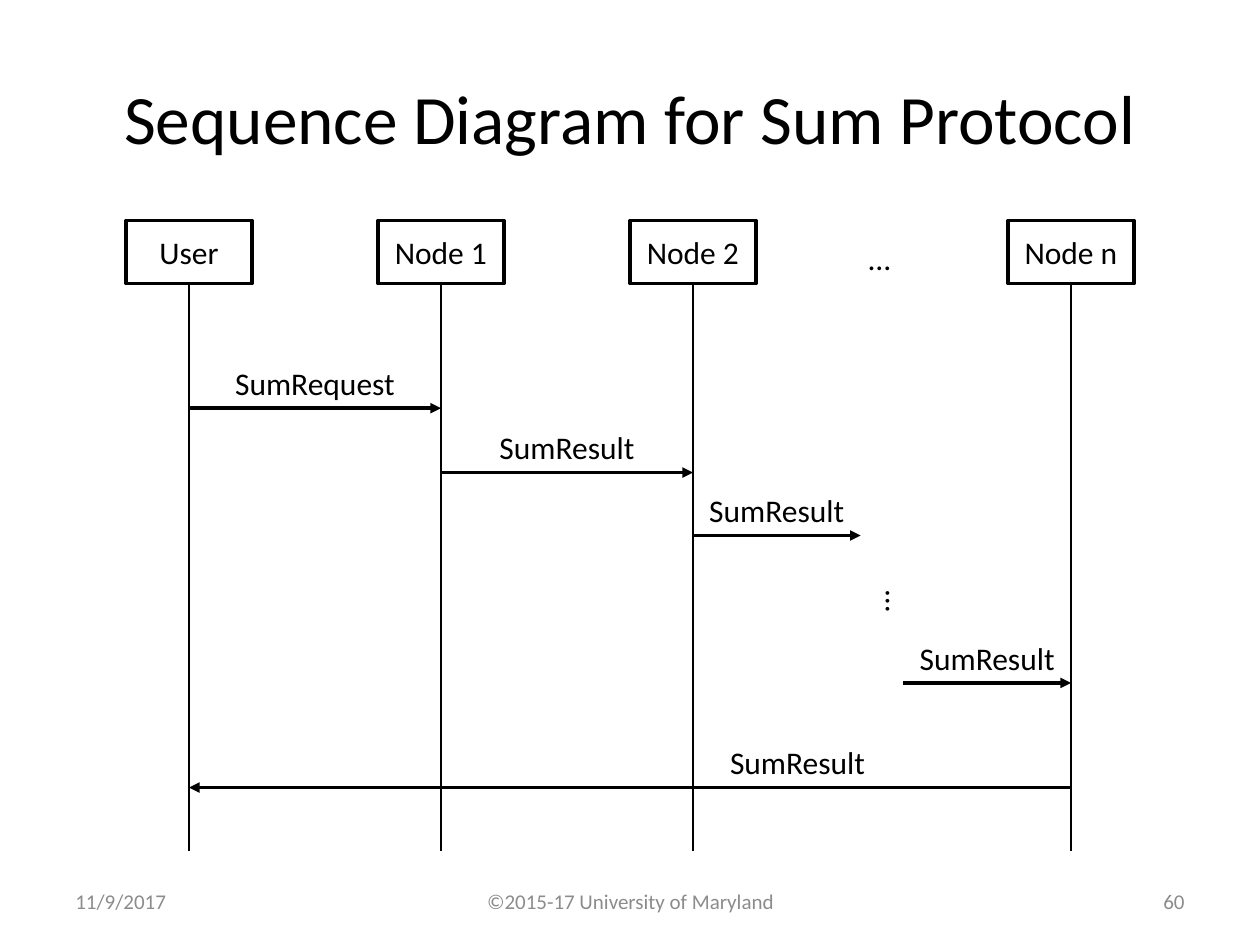
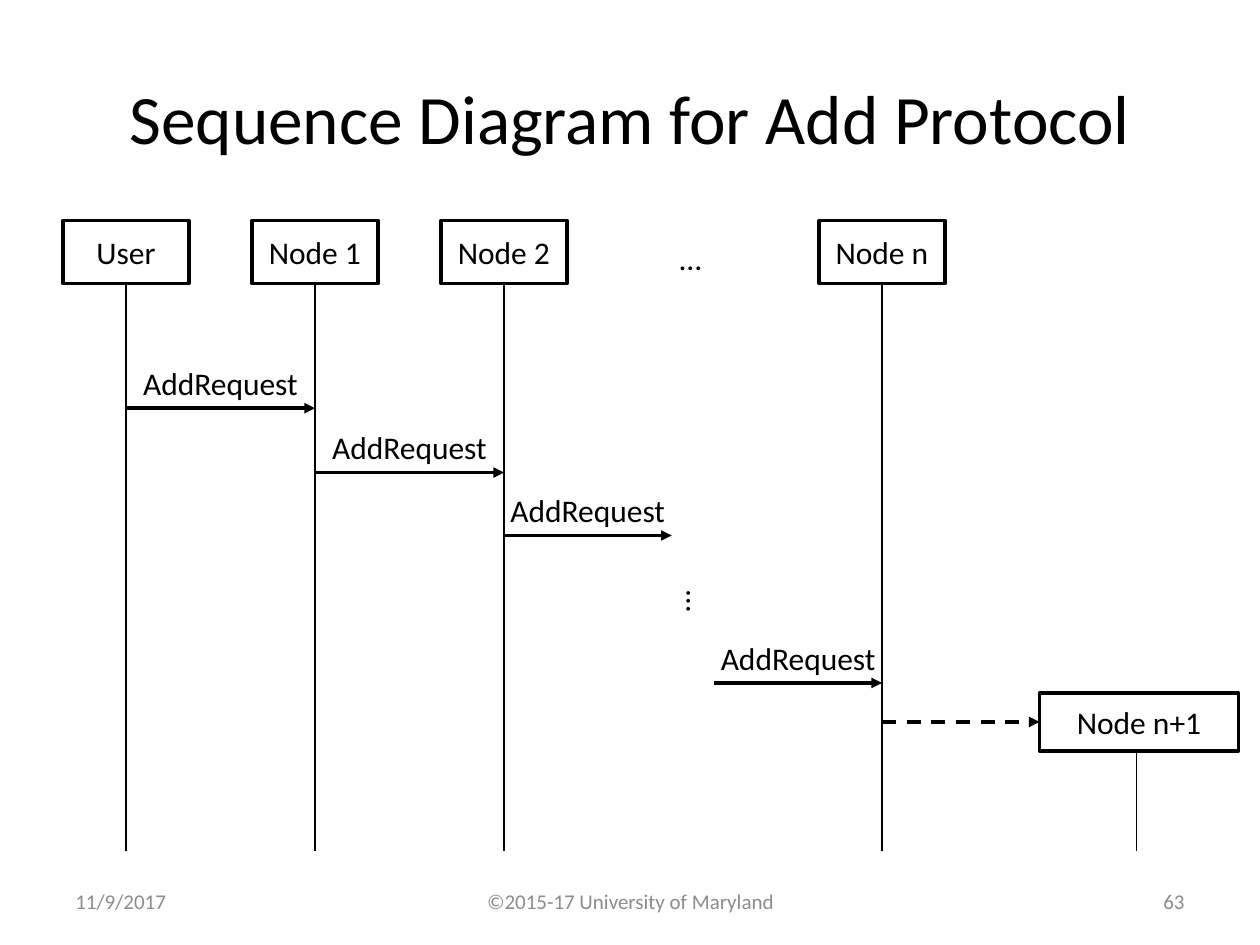
import pptx
import pptx.dml.color
import pptx.enum.dml
import pptx.enum.shapes
import pptx.enum.text
import pptx.oxml.ns
import pptx.util
from lxml import etree
from pptx.util import Inches

FONT = "Calibri"
COLOURS = {"ink": "000000", "footer": "8C8C8C"}
ALIGN = pptx.enum.text.PP_ALIGN
ANCHOR = pptx.enum.text.MSO_ANCHOR
HEAD_TOP, HEAD_WIDTH, HEAD_HEIGHT = 1.75, 1, 0.5
LIFELINE_END = 6.75
LABEL_WIDTH, LABEL_HEIGHT = 1.67, 0.4


def colour(name):
    """Return the named palette colour."""
    return pptx.dml.color.RGBColor.from_string(COLOURS[name])


def write(frame, text, size=18, ink="ink", align=ALIGN.CENTER, anchor=ANCHOR.MIDDLE):
    """Put one formatted run into a text frame."""
    frame.vertical_anchor = anchor
    para = frame.paragraphs[0]
    para.alignment = align
    span = para.add_run()
    span.text = text
    span.font.name = FONT
    span.font.size = pptx.util.Pt(size)
    span.font.color.rgb = colour(ink)


def add_text(page, box, text, wrap=True, **style):
    """Add a text box at (left, top, width, height) and return its frame."""
    frame = page.shapes.add_textbox(*map(Inches, box)).text_frame
    frame.word_wrap = wrap
    write(frame, text, **style)
    return frame


def add_line(page, start, end, weight=0.75, arrow=False, dashed=False):
    """Draw a straight line, optionally dashed or with an arrowhead."""
    line = page.shapes.add_connector(
        pptx.enum.shapes.MSO_CONNECTOR.STRAIGHT, *map(Inches, (*start, *end)))
    line.line.color.rgb = colour("ink")
    line.line.width = pptx.util.Pt(weight)
    if dashed:
        line.line.dash_style = pptx.enum.dml.MSO_LINE.DASH
    properties = line._element.spPr
    if arrow:
        outline = properties.find(pptx.oxml.ns.qn("a:ln"))
        etree.SubElement(outline, pptx.oxml.ns.qn("a:tailEnd"), type="triangle")
    etree.SubElement(properties, pptx.oxml.ns.qn("a:effectLst"))


def add_participant(page, name, box, lifeline):
    """Draw a participant's box and its lifeline at the given x."""
    shape = page.shapes.add_shape(
        pptx.enum.shapes.MSO_SHAPE.RECTANGLE, *map(Inches, box))
    shape.shadow.inherit = False
    shape.fill.background()
    shape.line.color.rgb = colour("ink")
    shape.line.width = pptx.util.Pt(2)
    write(shape.text_frame, name)
    add_line(page, (lifeline, box[1] + box[3]), (lifeline, LIFELINE_END))


def add_message(page, text, start, end, y, label_centre=None):
    """Draw a message arrow with its label above, centred unless told otherwise."""
    add_line(page, (start, y), (end, y), weight=2, arrow=True)
    centre = (start + end) / 2 if label_centre is None else label_centre
    box = (centre - LABEL_WIDTH / 2, y - LABEL_HEIGHT, LABEL_WIDTH, LABEL_HEIGHT)
    add_text(page, box, text, anchor=ANCHOR.TOP)


def add_ellipses(page, across_centre, down_centre):
    """Mark the omitted nodes and the omitted messages."""
    add_text(page, (across_centre - 0.19, 1.85, 0.38, 0.4), "…",
             wrap=False, anchor=ANCHOR.TOP)
    frame = add_text(page, (down_centre - 0.25, 4.64, 0.5, 0.27), "…",
                     wrap=False, anchor=ANCHOR.TOP)
    frame._txBody.bodyPr.set("vert", "vert")


def add_footer(page, number):
    """Write the date, the copyright line and the slide number."""
    cells = ((0.5, 2.33, "11/9/2017", ALIGN.LEFT),
             (3.42, 3.17, "©2015-17 University of Maryland", ALIGN.CENTER),
             (7.17, 2.33, number, ALIGN.RIGHT))
    for left, width, text, align in cells:
        add_text(page, (left, 6.95, width, 0.4), text,
                 size=12, ink="footer", align=align)


def add_sequence_page(deck, title, number, lifelines, messages, down_centre):
    """Build the title, participants, chained messages and footer of a page."""
    page = deck.slides.add_slide(deck.slide_layouts[5])
    heading = page.shapes.title
    heading.left, heading.top, heading.width, heading.height = map(
        Inches, (0.5, 0.3, 9, 1.25))
    heading.text_frame.auto_size = pptx.enum.text.MSO_AUTO_SIZE.NONE
    write(heading.text_frame, title, size=39.6)

    for name, x in zip(("User", "Node 1", "Node 2", "Node n"), lifelines):
        box = (x - HEAD_WIDTH / 2, HEAD_TOP, HEAD_WIDTH, HEAD_HEIGHT)
        add_participant(page, name, box, x)

    user, first, second, last = lifelines
    add_ellipses(page, second + 1.48, down_centre)
    reach = 1.33
    spans = ((user, first, 3.24), (first, second, 3.75),
             (second, second + reach, 4.25), (last - reach, last, 5.42))
    for text, span in zip(messages, spans):
        add_message(page, text, *span)
    add_footer(page, number)
    return page


def add_sum_page(deck):
    """Build the Sum page, where the last node answers the user."""
    lifelines = (1.5, 3.5, 5.5, 8.5)
    page = add_sequence_page(deck, "Sequence Diagram for Sum Protocol", "60",
                             lifelines, ["SumRequest"] + ["SumResult"] * 3, 7.08)
    add_message(page, "SumResult", lifelines[-1], lifelines[0], 6.25,
                label_centre=6.33)


def add_add_page(deck):
    """Build the Add page, where the last node creates a new one."""
    lifelines = (1, 2.5, 4, 7)
    page = add_sequence_page(deck, "Sequence Diagram for Add Protocol", "63",
                             lifelines, ["AddRequest"] * 4, 5.5)
    left, top, width, height = new_node = (8.25, 5.5, 1.58, 0.46)
    add_participant(page, "Node n+1", new_node, 9.02)
    middle = top + height / 2
    add_line(page, (lifelines[-1], middle), (left, middle),
             weight=2, arrow=True, dashed=True)


def main():
    """Build and save the deck."""
    deck = pptx.Presentation()
    deck.slide_width, deck.slide_height = Inches(10), Inches(7.5)
    add_sum_page(deck)
    add_add_page(deck)
    deck.save("out.pptx")


if __name__ == "__main__":
    main()
